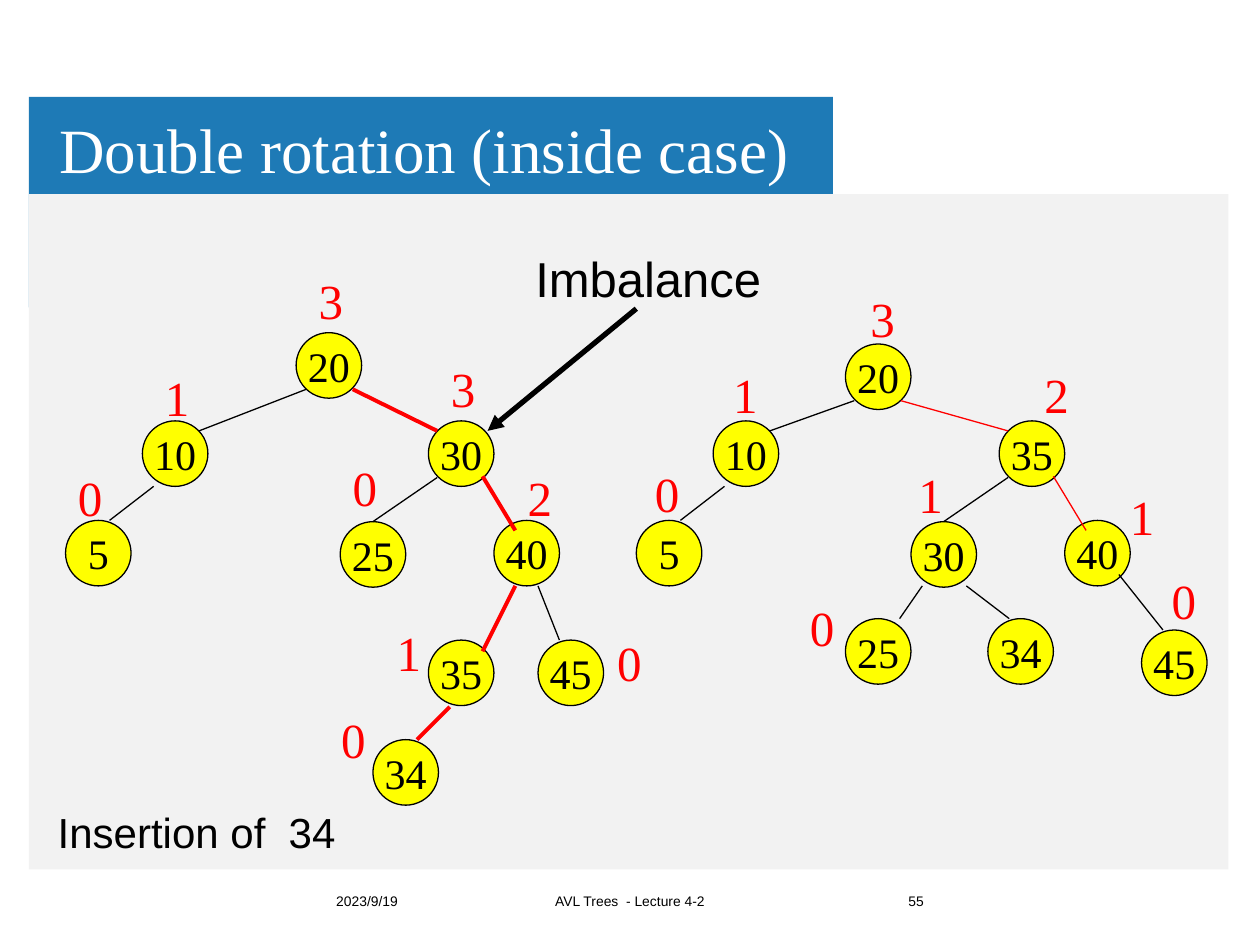
from lxml import etree
from pptx import Presentation
from pptx.dml.color import RGBColor
from pptx.enum.shapes import MSO_CONNECTOR, MSO_SHAPE
from pptx.enum.text import MSO_ANCHOR, PP_ALIGN
from pptx.oxml.ns import qn
from pptx.util import Inches, Pt

LEFT, CENTER, RIGHT = PP_ALIGN.LEFT, PP_ALIGN.CENTER, PP_ALIGN.RIGHT
TOP, MIDDLE = MSO_ANCHOR.TOP, MSO_ANCHOR.MIDDLE
STRAIGHT = MSO_CONNECTOR.STRAIGHT
RECTANGLE, OVAL = MSO_SHAPE.RECTANGLE, MSO_SHAPE.OVAL

SERIF, SANS = "Times New Roman", "Arial"
BLACK, WHITE, RED, YELLOW = "000000", "FFFFFF", "FF0000", "FFFF00"
BLUE, GREY = "1E7AB6", "F2F2F2"
NODE_SIZE = 0.52
THIN, THICK, ARROW = 0.75, 2.25, 3

PANELS = [(BLUE, 0.23, 0.77, 6.38, 1.67), (GREY, 0.23, 1.54, 9.52, 5.36)]
TITLE = "Double rotation (inside case)"
FOOTERS = [
    ("2023/9/19", 2.57, 1.27, LEFT),
    ("AVL Trees  - Lecture 4-2", 4.05, 1.9, CENTER),
    ("55", 6.16, 1.27, RIGHT),
]
CAPTIONS = [
    ("Imbalance", 4.15, 1.92, 2.03, 0.57, 28),
    ("Insertion of  34", 0.36, 6.35, 3.02, 0.5, 24),
]
IMBALANCE_ARROW = (5.05, 2.45, 3.87, 3.42)

# nodes: key, left, top; heights: value, left, top
# edges: start x, start y, end x, end y; the path edges are red
BEFORE = {
    "nodes": [
        (20, 2.35, 2.64), (10, 1.13, 3.34), (30, 3.4, 3.34),
        (5, 0.52, 4.13), (25, 2.7, 4.14), (40, 3.92, 4.13),
        (35, 3.4, 5.08), (45, 4.27, 5.08), (34, 2.96, 5.87),
    ],
    "edges": [
        (2.43, 3.09, 1.58, 3.42), (1.22, 3.86, 0.87, 4.13),
        (3.47, 3.79, 2.96, 4.14), (4.27, 4.65, 4.44, 5.08),
    ],
    "path": [
        (2.8, 3.09, 3.47, 3.42), (3.83, 3.78, 4.09, 4.21),
        (4.09, 4.65, 3.83, 5.17), (3.57, 5.61, 3.31, 5.87),
    ],
    "path_width": THICK,
    "heights": [
        (3, 2.43, 2.1), (1, 1.21, 2.87), (3, 3.48, 2.8),
        (0, 0.52, 3.66), (0, 2.7, 3.58), (2, 4.09, 3.66),
        (1, 3.05, 4.89), (0, 4.8, 4.97), (0, 2.61, 5.58),
    ],
}
AFTER = {
    "nodes": [
        (20, 6.71, 2.73), (10, 5.66, 3.34), (35, 7.93, 3.34),
        (5, 5.05, 4.13), (30, 7.23, 4.14), (40, 8.45, 4.13),
        (25, 6.71, 4.91), (34, 7.84, 4.91), (45, 9.06, 5),
    ],
    "edges": [
        (6.78, 3.18, 6.11, 3.42), (5.75, 3.86, 5.4, 4.13),
        (8, 3.79, 7.49, 4.14), (7.32, 4.65, 7.14, 4.91),
        (7.67, 4.65, 8.01, 4.91), (8.88, 4.56, 9.23, 5),
    ],
    "path": [(7.15, 3.18, 8, 3.42), (8.36, 3.78, 8.62, 4.21)],
    "path_width": THIN,
    "heights": [
        (3, 6.81, 2.24), (1, 5.72, 2.84), (2, 8.19, 2.84),
        (0, 5.1, 3.63), (1, 7.19, 3.64), (1, 8.87, 3.81),
        (0, 6.33, 4.69), (0, 9.2, 4.48),
    ],
}


def color(value):
    return RGBColor.from_string(value)


def write(shape, text, size, font=SERIF, ink=BLACK, align=LEFT, anchor=TOP,
          wrap=True, spacing=None):
    frame = shape.text_frame
    frame.word_wrap = wrap
    frame.vertical_anchor = anchor
    paragraph = frame.paragraphs[0]
    paragraph.alignment = align
    if spacing:
        paragraph.line_spacing = spacing
    run = paragraph.add_run()
    run.text = text
    run.font.size = Pt(size)
    run.font.name = font
    run.font.color.rgb = color(ink)
    return frame


def add_text(slide, text, left, top, width, height, **style):
    box = slide.shapes.add_textbox(*map(Inches, (left, top, width, height)))
    return write(box, text, **style)


def add_filled(slide, kind, fill, *box):
    shape = slide.shapes.add_shape(kind, *map(Inches, box))
    shape.shadow.inherit = False
    shape.fill.solid()
    shape.fill.fore_color.rgb = color(fill)
    shape.line.fill.background()
    return shape


def add_line(slide, ends, ink=BLACK, width=THIN, arrow=False):
    line = slide.shapes.add_connector(STRAIGHT, *map(Inches, ends))
    line.line.color.rgb = color(ink)
    line.line.width = Pt(width)
    if arrow:
        outline = line.line._get_or_add_ln()
        etree.SubElement(outline, qn("a:tailEnd"), type="triangle")
    etree.SubElement(line._element.spPr, qn("a:effectLst"))


def add_tree(slide, tree):
    for key, left, top in tree["nodes"]:
        node = add_filled(slide, OVAL, YELLOW, left, top, NODE_SIZE, NODE_SIZE)
        node.line.color.rgb = color(BLACK)
        node.line.width = Pt(THIN)
        write(node, str(key), 24, align=CENTER, anchor=MIDDLE, wrap=False)
    for ends in tree["edges"]:
        add_line(slide, ends)
    for ends in tree["path"]:
        add_line(slide, ends, RED, tree["path_width"])
    for height, left, top in tree["heights"]:
        add_text(slide, str(height), left, top, 0.4, 0.57, size=28, ink=RED)


def main():
    deck = Presentation()
    deck.slide_width, deck.slide_height = Inches(10), Inches(7.5)
    slide = deck.slides.add_slide(deck.slide_layouts[6])

    for panel in PANELS:
        add_filled(slide, RECTANGLE, *panel)
    title = add_text(slide, TITLE, 0.4, 0.82, 7.72, 0.79, size=36, ink=WHITE,
                     anchor=MIDDLE, spacing=0.9)
    title.margin_left = title.margin_right = Inches(0.07)
    title.margin_top = title.margin_bottom = Inches(0.04)
    for text, left, width, align in FOOTERS:
        add_text(slide, text, left, 6.95, width, 0.4, size=7.9, font=SANS,
                 align=align, anchor=MIDDLE)
    for text, left, top, width, height, size in CAPTIONS:
        add_text(slide, text, left, top, width, height, size=size, font=SANS)
    add_line(slide, IMBALANCE_ARROW, width=ARROW, arrow=True)
    for tree in (BEFORE, AFTER):
        add_tree(slide, tree)

    deck.save("out.pptx")


if __name__ == "__main__":
    main()
